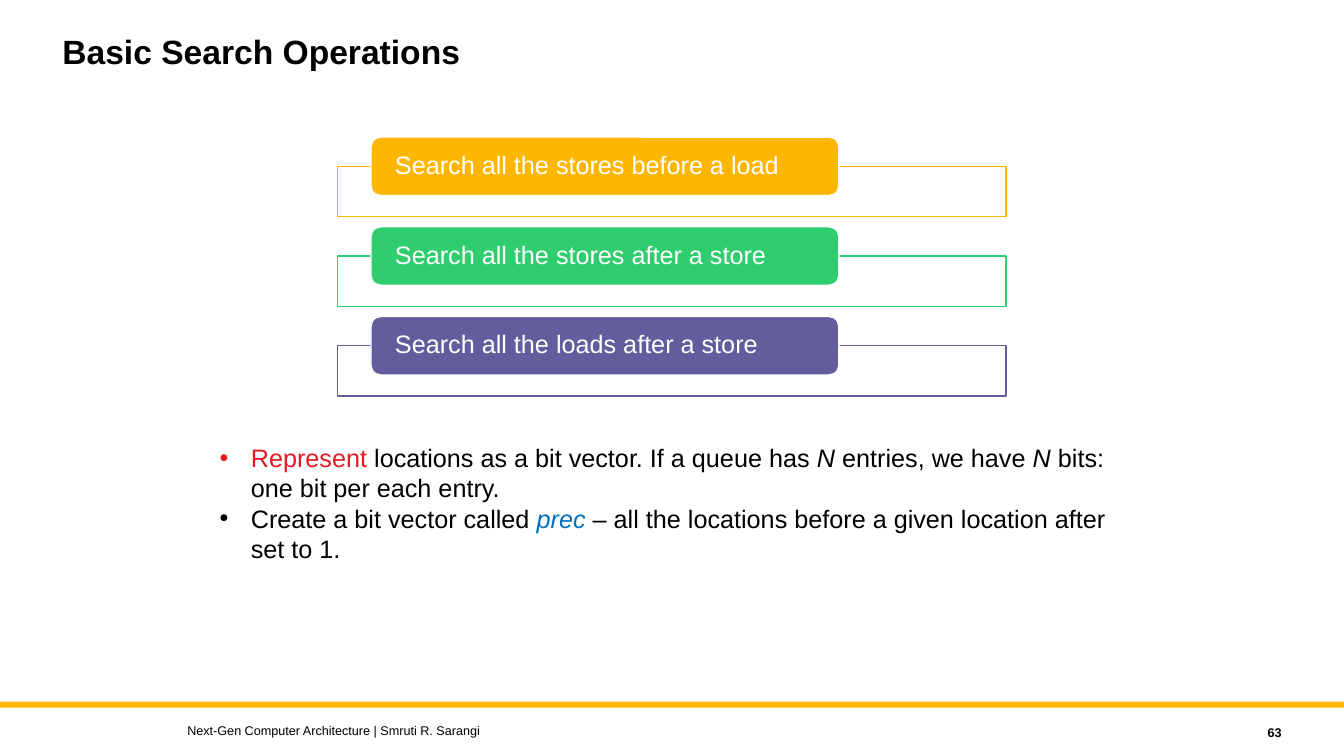
from lxml.etree import SubElement
from pptx import Presentation
from pptx.dml.color import RGBColor
from pptx.enum.shapes import MSO_SHAPE
from pptx.enum.text import MSO_ANCHOR, PP_ALIGN
from pptx.oxml.ns import qn
from pptx.util import Inches, Pt

AMBER = RGBColor(0xFF, 0xB6, 0x00)
GREEN = RGBColor(0x2F, 0xCD, 0x6E)
PURPLE = RGBColor(0x62, 0x5D, 0x9C)
RED = RGBColor(0xE2, 0x1A, 0x23)
BLUE = RGBColor(0x00, 0x70, 0xC0)
BLACK = RGBColor(0x00, 0x00, 0x00)
WHITE = RGBColor(0xFF, 0xFF, 0xFF)

prs = Presentation()
prs.slide_width, prs.slide_height = Inches(13.33), Inches(7.5)
s = prs.slides.add_slide(prs.slide_layouts[6])


def add_box(shape, box, fill, line=None):
    sp = s.shapes.add_shape(shape, *map(Inches, box))
    sp.shadow.inherit = False
    sp.fill.solid()
    sp.fill.fore_color.rgb = fill
    if line is None:
        sp.line.fill.background()
    else:
        sp.line.color.rgb = line
        sp.line.width = Pt(1)
    return sp


def add_run(p, text, size, color=BLACK, **style):
    r = p.add_run()
    r.text = text
    for name, value in {"name": "Arial", "size": Pt(size), **style}.items():
        setattr(r.font, name, value)
    r.font.color.rgb = color


add_box(MSO_SHAPE.RECTANGLE, (0, 6.96, 13.33, 0.06), AMBER)

labels = [
    ("Basic Search Operations", (0.52, 0.3, 10, 0.9), 24, True,
     {"line_spacing": 0.9}, MSO_ANCHOR.TOP),
    ("Next-Gen Computer Architecture | Smruti R. Sarangi", (1.76, 7.12, 8, 0.25), 9, False,
     {}, MSO_ANCHOR.MIDDLE),
    ("63", (11.41, 7.14, 1.4, 0.25), 9, True,
     {"alignment": PP_ALIGN.RIGHT}, MSO_ANCHOR.MIDDLE),
]
for text, box, size, bold, layout, anchor in labels:
    tf = s.shapes.add_textbox(*map(Inches, box)).text_frame
    tf.word_wrap = True
    tf.vertical_anchor = anchor
    p = tf.paragraphs[0]
    for name, value in layout.items():
        setattr(p, name, value)
    add_run(p, text, size, bold=bold)

searches = [
    ("Search all the stores before a load", AMBER),
    ("Search all the stores after a store", GREEN),
    ("Search all the loads after a store", PURPLE),
]
for i, (text, color) in enumerate(searches):
    top = 1.36 + 0.89 * i
    add_box(MSO_SHAPE.RECTANGLE, (3.35, top + 0.29, 6.63, 0.5), WHITE, color)
    sp = add_box(MSO_SHAPE.ROUNDED_RECTANGLE, (3.68, top, 4.64, 0.58), color, WHITE)
    tf = sp.text_frame
    frame = {"margin_left": Inches(0.21), "margin_right": Inches(0.21), "margin_top": 0,
             "margin_bottom": 0, "vertical_anchor": MSO_ANCHOR.MIDDLE, "word_wrap": True}
    for name, value in frame.items():
        setattr(tf, name, value)
    p = tf.paragraphs[0]
    p.alignment = PP_ALIGN.LEFT
    p.line_spacing = 0.9
    add_run(p, text, 18, WHITE)

notes = [
    [
        [("Represent", RED, False), (" locations as a bit vector. If a queue has ", BLACK, False),
         ("N ", BLACK, True), ("entries, we have ", BLACK, False),
         ("N ", BLACK, True), ("bits: ", BLACK, False)],
        [("one bit per each entry.", BLACK, False)],
    ],
    [
        [("Create a bit vector called ", BLACK, False), ("prec", BLUE, True),
         (" – all the locations before a given location after", BLACK, False)],
        [("set to 1.", BLACK, False)],
    ],
]
tf = s.shapes.add_textbox(Inches(2.08), Inches(4.34), Inches(9.25), Inches(1.31)).text_frame
tf.word_wrap = False
for i, lines in enumerate(notes):
    p = tf.add_paragraph() if i else tf.paragraphs[0]
    pPr = p._p.get_or_add_pPr()
    pPr.set("marL", str(Inches(0.31)))
    pPr.set("indent", str(-Inches(0.31)))
    SubElement(pPr, qn("a:buFont")).set("typeface", "Arial")
    SubElement(pPr, qn("a:buChar")).set("char", "•")
    for j, runs in enumerate(lines):
        if j:
            p.add_line_break()
        for text, color, italic in runs:
            add_run(p, text, 18, color, italic=italic)

prs.save("out.pptx")
